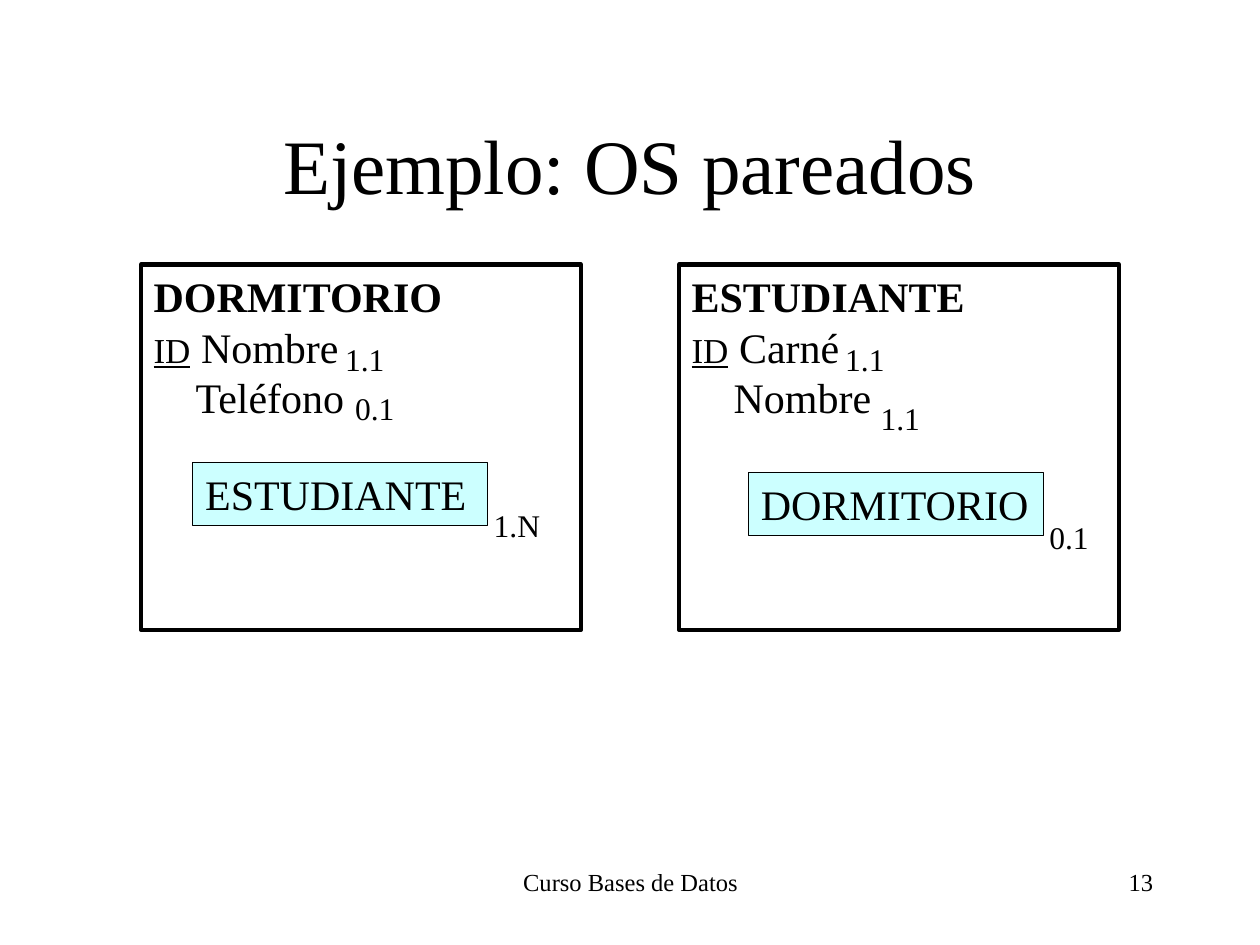
"""Build the slide comparing two entities that hold paired object attributes."""
from dataclasses import dataclass

from pptx import Presentation
from pptx.dml.color import RGBColor
from pptx.enum.shapes import MSO_SHAPE
from pptx.enum.text import MSO_ANCHOR, PP_ALIGN
from pptx.util import Inches, Pt

FONT = "Times New Roman"
BLACK = "000000"
PALE_CYAN = "CCFFFF"
ENTITY_TOP, ENTITY_WIDTH, ENTITY_HEIGHT = 2.1, 3.49, 2.9
OBJECT_WIDTH, OBJECT_HEIGHT = 2.34, 0.5


@dataclass(frozen=True)
class Cardinality:
    text: str
    left: float
    top: float
    width: float = 0.51


@dataclass(frozen=True)
class Entity:
    name: str
    identifier: str
    attribute: str
    left: float
    related: str
    related_left: float
    related_top: float
    cardinalities: tuple[Cardinality, ...]


ENTITIES = (
    Entity("DORMITORIO", "Nombre", "Teléfono", 1.12, "ESTUDIANTE", 1.53, 3.67, (
        Cardinality("1.1", 2.64, 2.65),
        Cardinality("0.1", 2.72, 3.04),
        Cardinality("1.N", 3.82, 3.97, 0.57),
    )),
    Entity("ESTUDIANTE", "Carné", "Nombre", 5.39, "DORMITORIO", 5.94, 3.75, (
        Cardinality("1.1", 6.61, 2.65),
        Cardinality("1.1", 6.89, 3.12),
        Cardinality("0.1", 8.23, 4.06),
    )),
)


def color(value: str) -> RGBColor:
    """Turn a hex string into a colour."""
    return RGBColor.from_string(value)


def add_run(paragraph, text: str, *, size=24, bold=False, underline=False,
            align=PP_ALIGN.LEFT) -> None:
    """Append formatted text to a paragraph."""
    paragraph.alignment = align
    run = paragraph.add_run()
    run.text = text
    font = run.font
    font.name, font.size = FONT, Pt(size)
    font.bold, font.underline = bold, underline
    font.color.rgb = color(BLACK)


def add_label(slide, text: str, left: float, top: float, width: float, height: float, *,
              wrap=True, anchor=MSO_ANCHOR.TOP, **text_format) -> None:
    """Place one line of text on the slide."""
    frame = slide.shapes.add_textbox(
        Inches(left), Inches(top), Inches(width), Inches(height)).text_frame
    frame.word_wrap, frame.vertical_anchor = wrap, anchor
    add_run(frame.paragraphs[0], text, **text_format)


def add_box(slide, left: float, top: float, width: float, height: float, *,
            line_width: float, fill: str | None = None):
    """Draw an outlined rectangle and return its text frame."""
    box = slide.shapes.add_shape(
        MSO_SHAPE.RECTANGLE, Inches(left), Inches(top), Inches(width), Inches(height))
    box.shadow.inherit = False
    box.line.color.rgb = color(BLACK)
    box.line.width = Pt(line_width)
    if fill:
        box.fill.solid()
        box.fill.fore_color.rgb = color(fill)
    else:
        box.fill.background()
    box.text_frame.vertical_anchor = MSO_ANCHOR.TOP
    return box.text_frame


def add_entity(slide, entity: Entity) -> None:
    """Draw an entity with its attributes, related object and cardinalities."""
    frame = add_box(slide, entity.left, ENTITY_TOP, ENTITY_WIDTH, ENTITY_HEIGHT, line_width=2.5)
    add_run(frame.paragraphs[0], entity.name, bold=True)
    identifier = frame.add_paragraph()
    add_run(identifier, "ID", size=20, underline=True)
    add_run(identifier, f" {entity.identifier}")
    attribute = frame.add_paragraph()
    attribute._p.get_or_add_pPr().set("marL", str(Pt(24)))
    add_run(attribute, entity.attribute)

    related = add_box(slide, entity.related_left, entity.related_top, OBJECT_WIDTH,
                      OBJECT_HEIGHT, line_width=0.75, fill=PALE_CYAN)
    add_run(related.paragraphs[0], entity.related)
    for mark in entity.cardinalities:
        add_label(slide, mark.text, mark.left, mark.top, mark.width, 0.4, size=18, wrap=False)


def main() -> None:
    """Build and save the presentation."""
    presentation = Presentation()
    presentation.slide_width, presentation.slide_height = Inches(10), Inches(7.5)
    slide = presentation.slides.add_slide(presentation.slide_layouts[6])
    add_label(slide, "Curso Bases de Datos", 3.42, 6.83, 3.17, 0.5,
              size=14, align=PP_ALIGN.CENTER)
    add_label(slide, "13", 7.17, 6.83, 2.08, 0.5, size=14, align=PP_ALIGN.RIGHT)
    add_label(slide, "Ejemplo: OS pareados", 0.75, 0.67, 8.5, 1.25,
              size=44, align=PP_ALIGN.CENTER, anchor=MSO_ANCHOR.MIDDLE)
    for entity in ENTITIES:
        add_entity(slide, entity)
    presentation.save("out.pptx")


if __name__ == "__main__":
    main()
